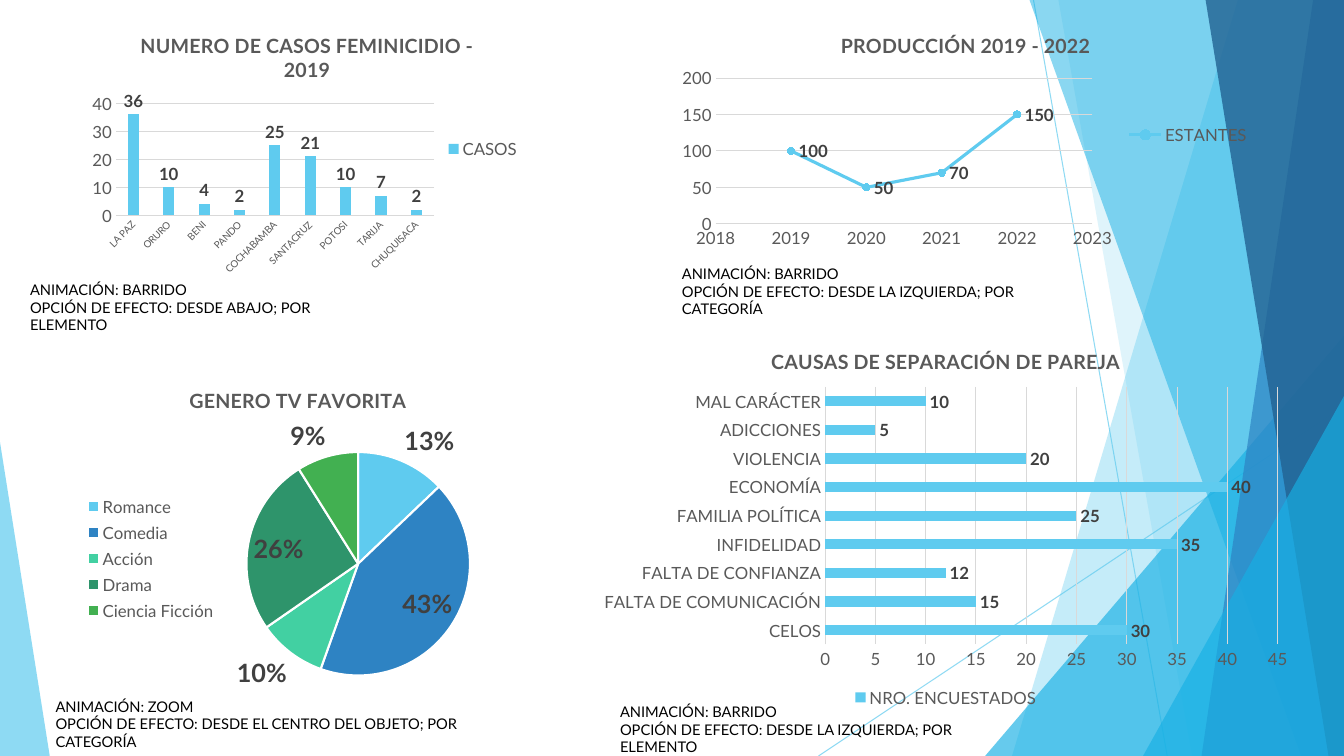
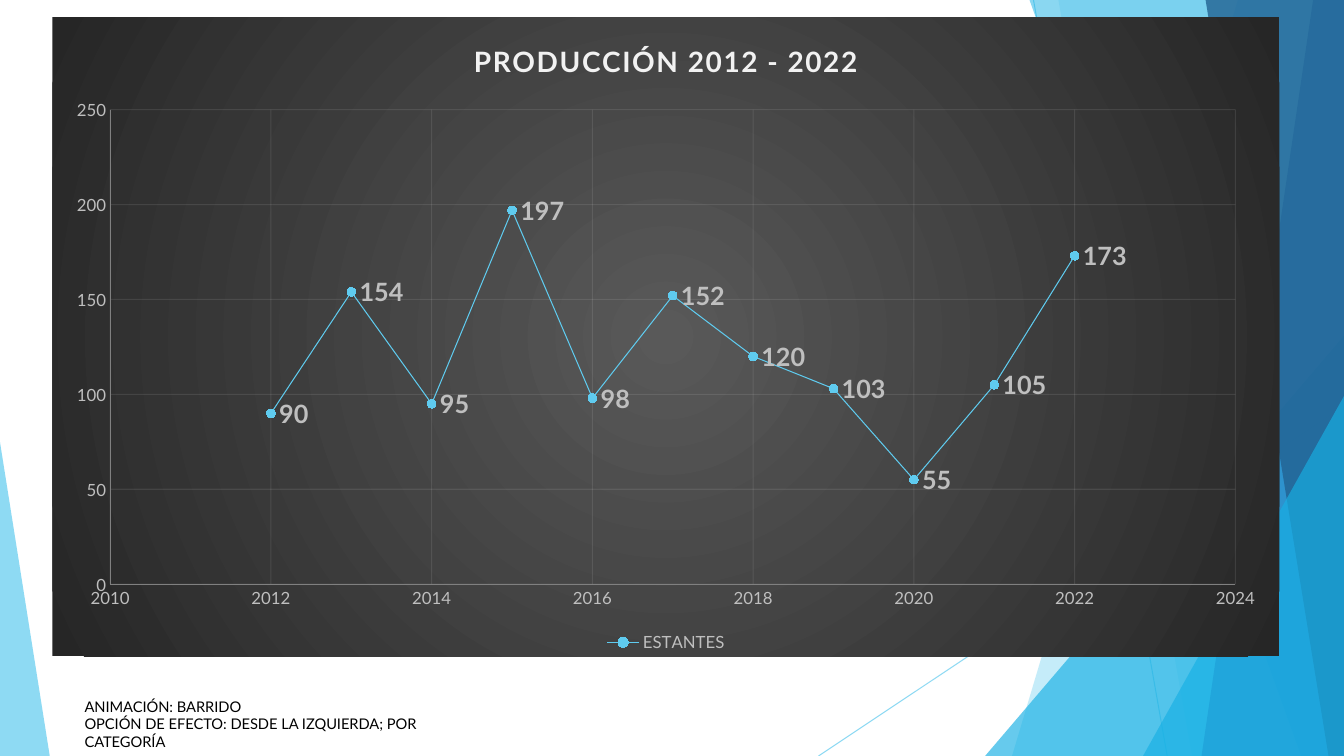
"""Build two slides of charts that show animation effects."""
from lxml.etree import SubElement
from pptx import Presentation
from pptx.chart.data import CategoryChartData, XyChartData
from pptx.chart.datalabel import DataLabels
from pptx.dml.color import RGBColor
from pptx.enum.chart import (XL_CHART_TYPE, XL_LABEL_POSITION, XL_LEGEND_POSITION,
                             XL_MARKER_STYLE, XL_TICK_MARK)
from pptx.enum.shapes import MSO_CONNECTOR, MSO_SHAPE
from pptx.enum.text import MSO_AUTO_SIZE
from pptx.oxml import parse_xml
from pptx.oxml.ns import nsdecls, qn
from pptx.util import Inches, Pt

COLUMN, BAR = XL_CHART_TYPE.COLUMN_CLUSTERED, XL_CHART_TYPE.BAR_CLUSTERED
PIE, SCATTER = XL_CHART_TYPE.PIE, XL_CHART_TYPE.XY_SCATTER_LINES
OUTSIDE, BEST_FIT = XL_LABEL_POSITION.OUTSIDE_END, XL_LABEL_POSITION.BEST_FIT
BESIDE = XL_LABEL_POSITION.RIGHT
LEFT, RIGHT, BOTTOM = XL_LEGEND_POSITION.LEFT, XL_LEGEND_POSITION.RIGHT, XL_LEGEND_POSITION.BOTTOM
NO_TICK, CIRCLE = XL_TICK_MARK.NONE, XL_MARKER_STYLE.CIRCLE
STRAIGHT, TRIANGLE, FIT = MSO_CONNECTOR.STRAIGHT, MSO_SHAPE.ISOSCELES_TRIANGLE, MSO_AUTO_SIZE.SHAPE_TO_FIT_TEXT


class Theme:
    font = "Lato"
    sky, cyan, blue, navy = [RGBColor.from_string(c) for c in ("5FCBEF", "17B0E4", "2E83C3", "226292")]
    mint, teal, green = [RGBColor.from_string(c) for c in ("42D0A2", "2E946B", "42B051")]
    black, white = RGBColor(0, 0, 0), RGBColor(255, 255, 255)
    caption, base, hairline = Pt(10.5), Pt(10), Pt(0.75)
    light = dict(
        title=RGBColor.from_string("595959"), title_size=Pt(14), spacing=0,
        text=RGBColor.from_string("595959"), label=RGBColor.from_string("404040"),
        axis=RGBColor.from_string("D9D9D9"), grid=RGBColor.from_string("D9D9D9"),
        line=Pt(2.25), marker=sky, marker_size=5, fill="<a:noFill/>")
    dark = dict(
        title=RGBColor.from_string("F2F2F2"), title_size=Pt(20), spacing=100,
        text=RGBColor.from_string("BFBFBF"), label=RGBColor.from_string("BFBFBF"),
        axis=RGBColor.from_string("808080"), grid=RGBColor.from_string("F2F2F2"),
        line=Pt(0.75), marker=RGBColor.from_string("4BC0E6"), marker_size=6,
        fill='<a:gradFill><a:gsLst><a:gs pos="0"><a:srgbClr val="595959"/></a:gs>'
             '<a:gs pos="100000"><a:srgbClr val="262626"/></a:gs></a:gsLst><a:path path="circle">'
             '<a:fillToRect l="50000" t="50000" r="50000" b="50000"/></a:path></a:gradFill>')


def fade(element, percent):
    for color in element.iter(qn("a:srgbClr")):
        SubElement(color, qn("a:alpha")).set("val", str(percent * 1000))


def place(parent, index, **shares):
    for old in parent.findall(qn("c:layout")):
        parent.remove(old)
    layout_el = parse_xml(f"<c:layout {nsdecls('c')}><c:manualLayout/></c:layout>")
    modes = {"xMode": "edge", "yMode": "edge"}
    if parent.tag == qn("c:plotArea"):
        modes = {"layoutTarget": "inner", **modes}
    for tag, val in {**modes, **shares}.items():
        SubElement(layout_el[0], qn(f"c:{tag}")).set("val", str(val))
    parent.insert(index, layout_el)


prs = Presentation()
prs.slide_width, prs.slide_height = Inches(13.33), Inches(7.5)
COL, ROW = prs.slide_width / 100, prs.slide_height / 100
layout = prs.slide_layouts[6]
for ph in list(layout.placeholders):
    layout.shapes.element.remove(ph.element)
slides = [prs.slides.add_slide(layout) for _ in range(2)]

s = slides[0]
for x1, y1, x2, y2 in [(76.9, 0, 86.85, 100), (100, 53.7, 60.9, 100)]:
    ray = s.shapes.add_connector(STRAIGHT, int(x1 * COL), int(y1 * ROW), int(x2 * COL), int(y2 * ROW))
    ray.line.color.rgb = Theme.sky
    ray.line.width = Theme.hairline
    SubElement(ray.element.spPr, qn("a:effectLst"))
    fade(ray.element, 70)

facets = [
    (Theme.sky, 36, (92.1, 75.3)),
    (Theme.sky, 20, (78.75, 88.7)),
    (Theme.cyan, 66, (73.3, 44.4, 26.7, 1)),
    (Theme.cyan, 50, (76.6, 96.8)),
    (Theme.blue, 70, (97.7, 89.4)),
    (Theme.navy, 80, (89.7, 98.85)),
    (Theme.cyan, 66, (85.05, 52.4, 14.95, 1)),
    (Theme.sky, 70, (0, 58.5, 3.7, 0)),
]
for color, opacity, geometry in facets:
    if len(geometry) == 2:
        top, bottom = geometry
        fb = s.shapes.build_freeform(int(top * COL), 0)
        fb.add_line_segments([(int(x * COL), int(y * ROW)) for x, y in [(100, 0), (100, 100), (bottom, 100)]])
        facet = fb.convert_to_shape()
    else:
        x, y, w, apex = geometry
        facet = s.shapes.add_shape(TRIANGLE, int(x * COL), int(y * ROW), int(w * COL), int((100 - y) * ROW))
        facet.adjustments[0] = apex
    facet.shadow.inherit = False
    facet.fill.solid()
    facet.fill.fore_color.rgb = color
    facet.line.fill.background()
    fade(facet.element, opacity)

for shape in list(s.shapes):
    layout.shapes.element.append(shape.element)

charts = [
    dict(slide=0, at=(6.2, 2.3, 33.3, 34.8), kind=COLUMN, legend=RIGHT, look=Theme.light,
         title="NUMERO DE CASOS FEMINICIDIO - 2019", name="CASOS", pos=OUTSIDE, label_size=12,
         cat_size=7, gap=219, overlap=-27,
         cats=["LA PAZ", "ORURO", "BENI", "PANDO", "COCHABAMBA", "SANTACRUZ", "POTOSI", "TARIJA", "CHUQUISACA"],
         vals=[36, 10, 4, 2, 25, 21, 10, 7, 2]),
    dict(slide=0, at=(49.9, 2.3, 43.9, 31.1), kind=SCATTER, legend=RIGHT, look=Theme.light,
         title="PRODUCCIÓN 2019 - 2022", name="ESTANTES", pos=BESIDE, label_size=12, cat_size=12,
         cats=range(2019, 2023), vals=[100, 50, 70, 150]),
    dict(slide=0, at=(2.4, 46.8, 34.65, 47.5), kind=PIE, legend=LEFT, look=Theme.light,
         title="GENERO TV FAVORITA", name="Series 1", pos=BEST_FIT, label_size=18,
         cats=["Romance", "Comedia", "Acción", "Drama", "Ciencia Ficción"], vals=[13, 43, 10, 26, 9]),
    dict(slide=0, at=(43.9, 43.7, 52.95, 50.4), kind=BAR, legend=BOTTOM, look=Theme.light,
         title="CAUSAS DE SEPARACIÓN DE PAREJA", name="NRO. ENCUESTADOS", pos=OUTSIDE, label_size=12,
         cat_size=12, gap=182, overlap=0,
         cats=["CELOS", "FALTA DE COMUNICACIÓN", "FALTA DE CONFIANZA", "INFIDELIDAD", "FAMILIA POLÍTICA",
               "ECONOMÍA", "VIOLENCIA", "ADICCIONES", "MAL CARÁCTER"],
         vals=[30, 15, 12, 35, 25, 40, 20, 5, 10]),
    dict(slide=1, at=(3.9, 2.3, 91.3, 84.5), kind=SCATTER, legend=BOTTOM, look=Theme.dark,
         title="PRODUCCIÓN 2012 - 2022", name="ESTANTES", pos=BESIDE, label_size=18, cat_size=12,
         cats=range(2012, 2023), vals=[90, 154, 95, 197, 98, 152, 120, 103, 55, 105, 173]),
]
for c in charts:
    kind, look = c["kind"], c["look"]
    if kind == SCATTER:
        data = XyChartData()
        points = data.add_series(c["name"])
        for x, y in zip(c["cats"], c["vals"]):
            points.add_data_point(x, y)
    else:
        data = CategoryChartData()
        data.categories = c["cats"]
        data.add_series(c["name"], c["vals"])
    x, y, w, h = c["at"]
    frame = slides[c["slide"]].shapes.add_chart(
        kind, int(x * COL), int(y * ROW), int(w * COL), int(h * ROW), data)
    chart = frame.chart
    chart.font.name, chart.font.size = Theme.font, Theme.base
    chart.font.color.rgb = Theme.black

    chart.has_title = True
    tf = chart.chart_title.text_frame
    tf.text = c["title"]
    r = tf.paragraphs[0].runs[0]
    r.font.name, r.font.size, r.font.bold = Theme.font, look["title_size"], True
    r.font.color.rgb = look["title"]
    r.font._element.set("spc", str(look["spacing"]))

    chart.has_legend = True
    chart.legend.position = c["legend"]
    chart.legend.include_in_layout = False
    chart.legend.font.name, chart.legend.font.size = Theme.font, Pt(12)
    chart.legend.font.color.rgb = look["text"]

    root = chart.element
    plot, plot_area = chart.plots[0], root.find(".//" + qn("c:plotArea"))
    series = plot.series[0]
    plot.vary_by_categories = kind == PIE
    labels = DataLabels(root.find(".//" + qn("c:ser")).get_or_add_dLbls())
    labels.show_value, labels.show_percentage = kind != PIE, kind == PIE
    labels.position = c["pos"]
    labels.font.name, labels.font.size, labels.font.bold = Theme.font, Pt(c["label_size"]), True
    labels.font.color.rgb = look["label"]

    if kind == PIE:
        labels.number_format, labels.number_format_is_linked = "0%", False
        for i, color in enumerate([Theme.sky, Theme.blue, Theme.mint, Theme.teal, Theme.green]):
            fmt = series.points[i].format
            fmt.fill.solid()
            fmt.fill.fore_color.rgb = color
            fmt.line.color.rgb = Theme.white
            fmt.line.width = Pt(1.5)
        place(root.find(".//" + qn("c:title")), 1, x=0.33, y=0.08)
        place(root.find(".//" + qn("c:legend")), 1, x=0.11, y=0.38, w=0.29, h=0.38)
        place(plot_area, 0, x=0.46, y=0.27, w=0.48, h=0.63)
    else:
        axes = [(chart.category_axis, c["cat_size"]), (chart.value_axis, 12)]
        for axis, size in axes:
            axis.major_tick_mark = axis.minor_tick_mark = NO_TICK
            axis.tick_labels.font.name, axis.tick_labels.font.size = Theme.font, Pt(size)
            axis.tick_labels.font.color.rgb = look["text"]
            axis.format.line.color.rgb = look["axis"]
            axis.format.line.width = Theme.hairline
            axis.has_major_gridlines = look is Theme.dark or axis is axes[1][0]
            if axis.has_major_gridlines:
                axis.major_gridlines.format.line.color.rgb = look["grid"]
                axis.major_gridlines.format.line.width = Theme.hairline
        if look is Theme.dark:
            for grid in root.iter(qn("c:majorGridlines")):
                fade(grid, 10)
        else:
            chart.value_axis.format.line.fill.background()

    if kind == SCATTER:
        series.format.line.color.rgb = Theme.sky
        series.format.line.width = look["line"]
        series.marker.style, series.marker.size = CIRCLE, look["marker_size"]
        series.marker.format.fill.solid()
        series.marker.format.fill.fore_color.rgb = look["marker"]
        series.marker.format.line.color.rgb = Theme.sky
    elif kind != PIE:
        series.format.fill.solid()
        series.format.fill.fore_color.rgb = Theme.sky
        plot.gap_width, plot.overlap = c["gap"], c["overlap"]
    if kind == COLUMN:
        root.find(".//" + qn("c:catAx")).find(qn("c:txPr")).find(qn("a:bodyPr")).set("rot", "-2700000")

    backing = "<c:spPr {}>{}<a:ln><a:noFill/></a:ln></c:spPr>"
    plot_area.append(parse_xml(backing.format(nsdecls("c", "a"), "<a:noFill/>")))
    root.find(qn("c:chart")).addnext(parse_xml(backing.format(nsdecls("c", "a"), look["fill"])))

captions = [
    (0, 1.5, 36.5, 24.75, "BARRIDO", "DESDE ABAJO; POR ELEMENTO"),
    (0, 50, 34.4, 28.35, "BARRIDO", "DESDE LA IZQUIERDA; POR CATEGORÍA"),
    (0, 3.4, 91.6, 32.7, "ZOOM", "DESDE EL CENTRO DEL OBJETO; POR CATEGORÍA"),
    (0, 45.4, 92.3, 28.1, "BARRIDO", "DESDE LA IZQUIERDA; POR ELEMENTO"),
    (1, 5.55, 91.6, 28.35, "BARRIDO", "DESDE LA IZQUIERDA; POR CATEGORÍA"),
]
for index, x, y, w, animation, effect in captions:
    box = slides[index].shapes.add_textbox(int(x * COL), int(y * ROW), int(w * COL), int(6 * ROW))
    tf = box.text_frame
    tf.word_wrap, tf.auto_size = True, FIT
    tf.text = f"ANIMACIÓN: {animation}\nOPCIÓN DE EFECTO: {effect}"
    for p in tf.paragraphs:
        for r in p.runs:
            r.font.name, r.font.size = Theme.font, Theme.caption
            r.font.color.rgb = Theme.black

prs.save("out.pptx")
